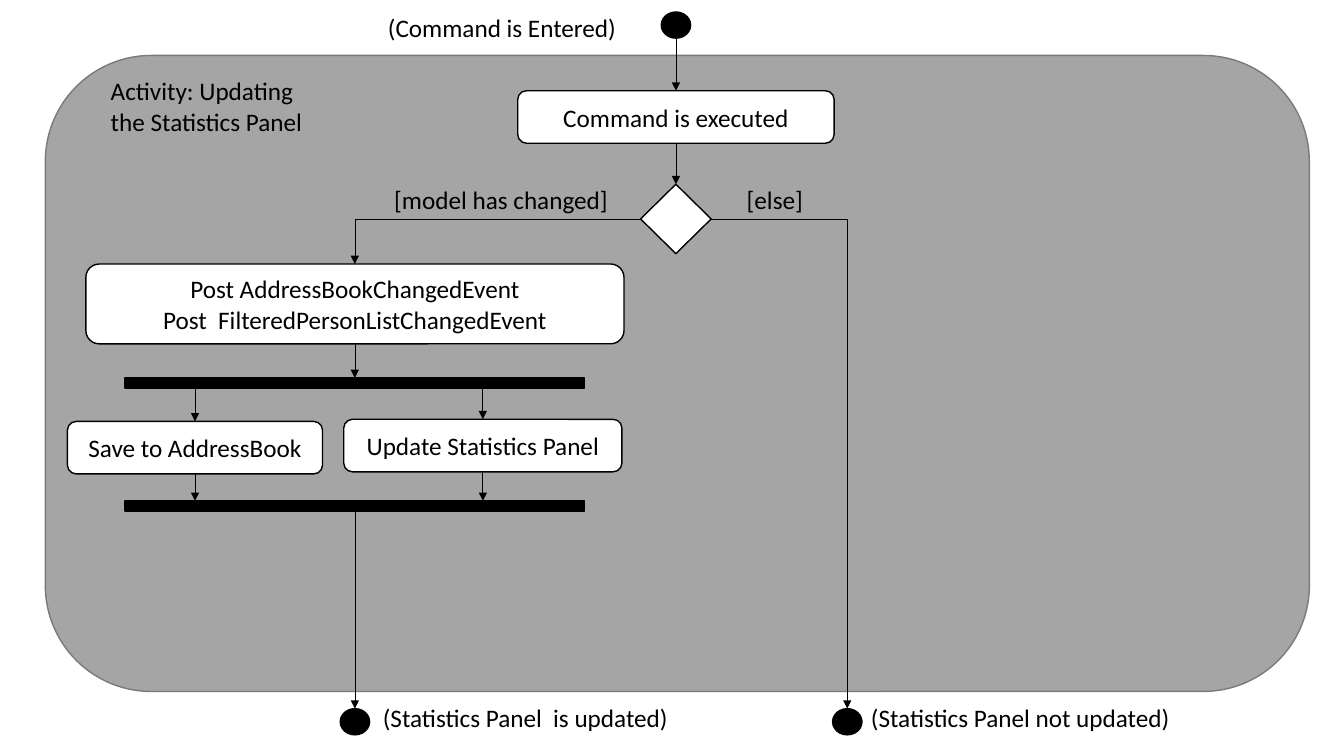
from lxml.etree import SubElement
from pptx import Presentation
from pptx.dml.color import RGBColor
from pptx.enum.shapes import MSO_CONNECTOR, MSO_SHAPE
from pptx.enum.text import MSO_ANCHOR, MSO_AUTO_SIZE, PP_ALIGN
from pptx.oxml.ns import qn
from pptx.util import Pt

BLACK = RGBColor(0x00, 0x00, 0x00)
WHITE = RGBColor(0xFF, 0xFF, 0xFF)
GRAY = RGBColor(0xA5, 0xA5, 0xA5)
EDGE = RGBColor(0x7A, 0x7A, 0x7A)

TOP, LEFT, BOTTOM, RIGHT = range(4)
MAIN, YES, NO = 482.8, 253.5, 605.2  # centre lines of the three flows
SAVE, SHOW = 139.3, 344.9  # centre lines of the forked actions

DOT = (MSO_SHAPE.OVAL, 21, 18.7, BLACK)
BAR = (MSO_SHAPE.RECTANGLE, 328.4, 7.2, BLACK)
STEP = MSO_SHAPE.FLOWCHART_ALTERNATE_PROCESS

# name: (kind, width, height, fill), centre x, top, lines of text
NODES = {
    "start": (DOT, MAIN, 8.6, []),
    "run": ((STEP, 226, 37.5, WHITE), MAIN, 64.8, ["Command is executed"]),
    "choice": ((MSO_SHAPE.FLOWCHART_DECISION, 50.4, 49.6, WHITE), MAIN, 131.6, []),
    "post": ((STEP, 384.4, 57, WHITE), YES, 188.6,
             ["Post AddressBookChangedEvent", "Post  FilteredPersonListChangedEvent"]),
    "fork": (BAR, YES, 270, []),
    "save": ((STEP, 182.2, 37.5, WHITE), SAVE, 301, ["Save to AddressBook"]),
    "show": ((STEP, 198.7, 37.5, WHITE), SHOW, 299.5, ["Update Statistics Panel"]),
    "join": (BAR, YES, 357.8, []),
    "updated": (DOT, YES, 506.2, []),
    "skipped": (DOT, NO, 506.2, []),
}

FLOWS = [
    ("start", "run"), ("run", "choice"), ("post", "fork"),
    ("fork", "save"), ("fork", "show"), ("save", "join"), ("show", "join"),
    ("join", "updated"),
]
BRANCHES = [(LEFT, "post"), (RIGHT, "skipped")]

# text, left, top, width, height
LABELS = [
    ("(Command is Entered)", 270, 5, 190.8, 29),
    ("Activity: Updating the Statistics Panel", 72, 50.6, 164.2, 51),
    ("[model has changed]", 274.5, 128.2, 226, 29),
    ("[else]", 526.3, 128.2, 226, 29),
    ("(Statistics Panel  is updated)", 266.4, 498.4, 225.4, 29),
    ("(Statistics Panel not updated)", 615, 498.4, 229, 29),
]

deck = Presentation()
deck.slide_width, deck.slide_height = Pt(960), Pt(540)
slide = deck.slides.add_slide(deck.slide_layouts[6])
shapes = slide.shapes


def write(frame, lines, align):
    frame.word_wrap = True
    for i, line in enumerate(lines):
        para = frame.paragraphs[0] if i == 0 else frame.add_paragraph()
        para.alignment = align
        run = para.add_run()
        run.text = line
        run.font.name, run.font.size = "Calibri", Pt(18)
        run.font.color.rgb = BLACK


def draw(kind, box, fill, edge=BLACK):
    shape = shapes.add_shape(kind, *map(Pt, box))
    shape.shadow.inherit = False
    shape.fill.solid()
    shape.fill.fore_color.rgb = fill
    shape.line.color.rgb = edge
    shape.line.width = Pt(1)
    return shape


def arrow(kind, begin, end):
    line = shapes.add_connector(kind, *map(Pt, begin + end))
    line.line.color.rgb = BLACK
    line.line.width = Pt(0.5)
    SubElement(line.line._get_or_add_ln(), qn("a:tailEnd"), type="triangle")
    props = line._element.spPr
    SubElement(props, qn("a:effectLst"))
    if kind == MSO_CONNECTOR.ELBOW:
        props.find(qn("a:prstGeom")).set("prst", "bentConnector2")
    return line


draw(MSO_SHAPE.ROUNDED_RECTANGLE, (32.4, 39.6, 902.9, 454.3), GRAY, EDGE)

made = {}
for name, ((kind, wide, high, fill), mid, top, lines) in NODES.items():
    made[name] = draw(kind, (mid - wide / 2, top, wide, high), fill)
    if lines:
        frame = made[name].text_frame
        frame.vertical_anchor = MSO_ANCHOR.MIDDLE
        write(frame, lines, PP_ALIGN.CENTER)

for src, dst in FLOWS:
    (kind, wide, high, _), mid, top, _ = NODES[src]
    (_, span, _, _), goal, floor, _ = NODES[dst]
    x = mid if wide < span else goal  # the narrower end sets the line
    line = arrow(MSO_CONNECTOR.STRAIGHT, (x, top + high), (x, floor))
    if x == mid and kind != MSO_SHAPE.OVAL:
        line.begin_connect(made[src], BOTTOM)
    if x == goal:
        line.end_connect(made[dst], TOP)

(_, wide, high, _), mid, top, _ = NODES["choice"]
for side, dst in BRANCHES:
    x = mid + (wide / 2 if side == RIGHT else -wide / 2)
    line = arrow(MSO_CONNECTOR.ELBOW, (x, top + high / 2), NODES[dst][1:3])
    line.begin_connect(made["choice"], side)
    line.end_connect(made[dst], TOP)

for text, *box in LABELS:
    frame = shapes.add_textbox(*map(Pt, box)).text_frame
    write(frame, [text], PP_ALIGN.LEFT)
    frame.auto_size = MSO_AUTO_SIZE.SHAPE_TO_FIT_TEXT

deck.save("out.pptx")
